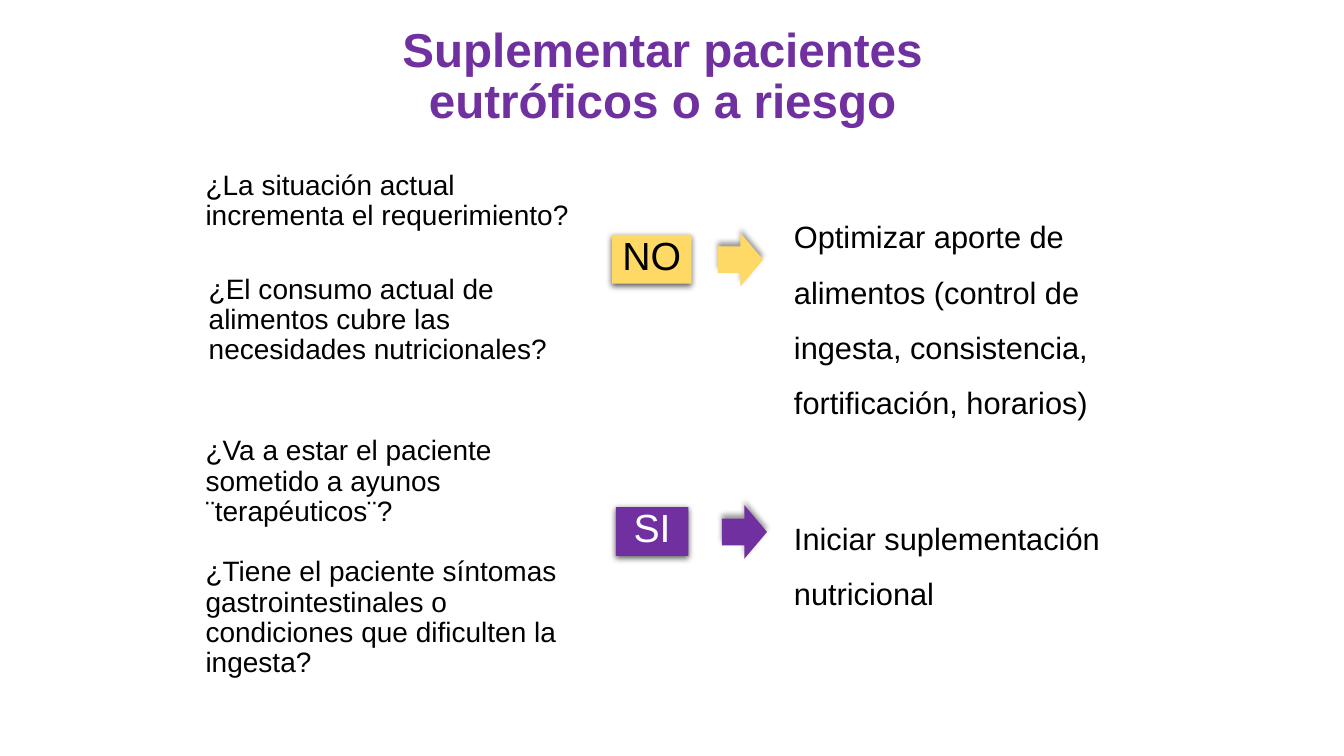
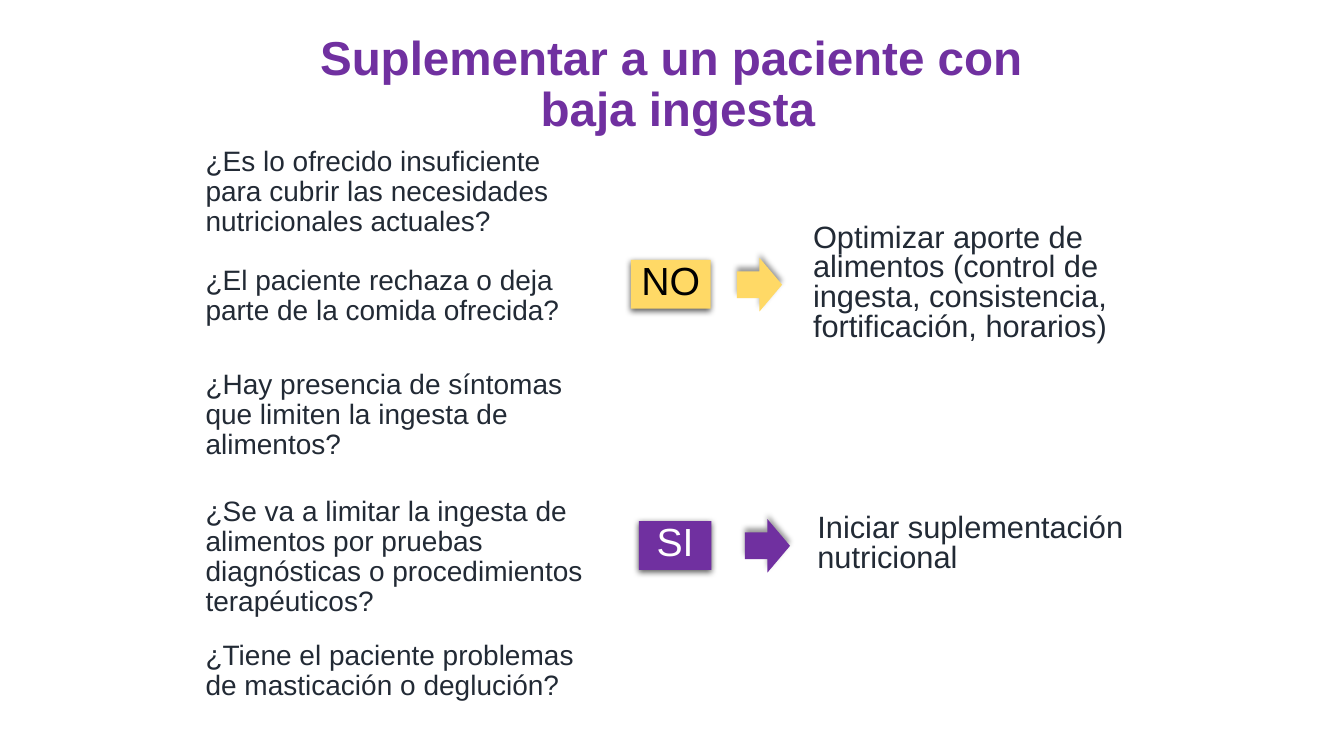
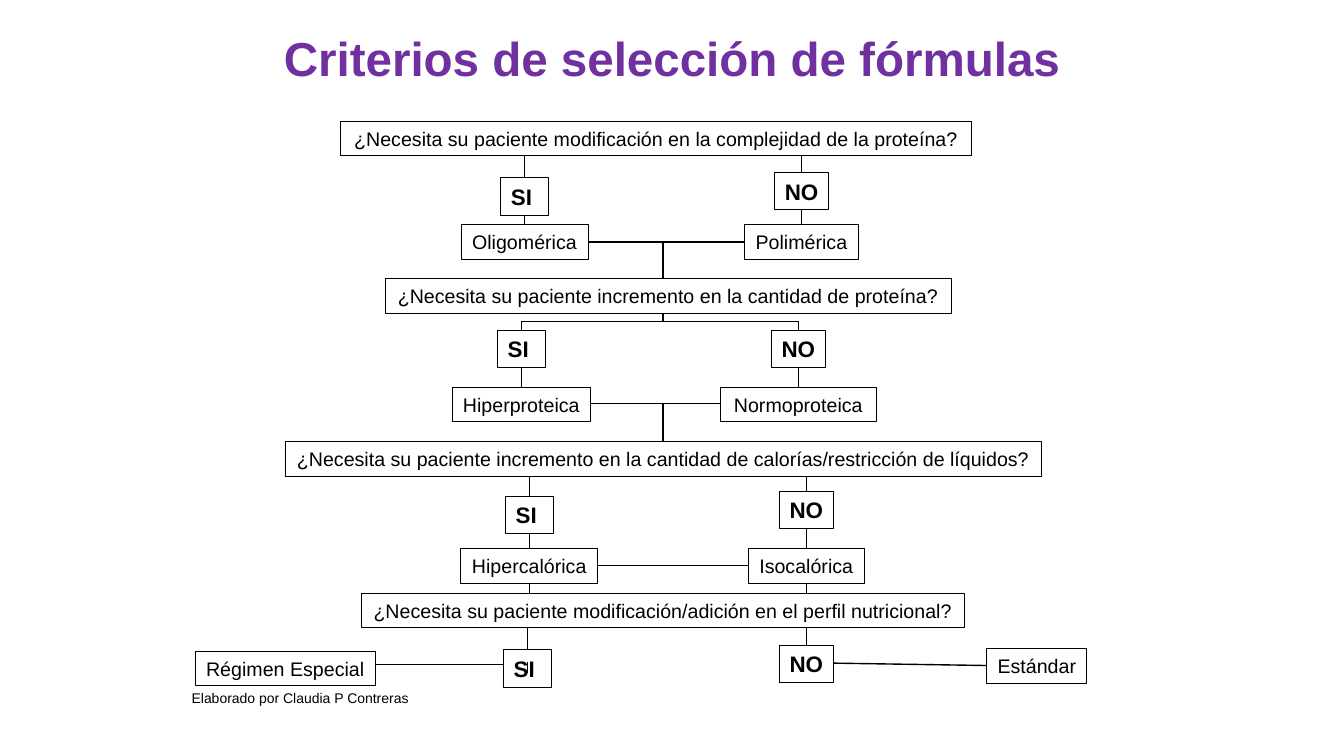
from lxml.etree import SubElement
from pptx import Presentation
from pptx.dml.color import RGBColor
from pptx.enum.shapes import MSO_CONNECTOR, MSO_SHAPE
from pptx.enum.text import MSO_ANCHOR, MSO_AUTO_SIZE, PP_ALIGN
from pptx.oxml.ns import qn
from pptx.util import Cm, Pt

FONT = "Arial"
PURPLE, YELLOW = "7030A0", "FFD966"
BLACK, WHITE, SLATE = "000000", "FFFFFF", "222A35"
BOX_H, ANSWER_H = 0.87, 0.94
SI_W, NO_W = 1.22, 1.37
BADGE_SHADOW = (63, 4.5, 1.5, 90)   # opacity %, blur pt, distance pt, angle
ARROW_SHADOW = (40, 4, 3, 270)


def color(hex_string):
    return RGBColor.from_string(hex_string)


class Deck:
    def __init__(self):
        self.prs = Presentation()
        self.prs.slide_width, self.prs.slide_height = Cm(33.87), Cm(19.05)

    def set_text(self, shape, text, size, ink, bold=False, align=PP_ALIGN.LEFT,
                 spacing=1.0, wrap=True, anchor=MSO_ANCHOR.TOP):
        frame = shape.text_frame
        frame.text = text
        frame.word_wrap = wrap
        frame.auto_size = MSO_AUTO_SIZE.NONE
        frame.vertical_anchor = anchor
        paragraph = frame.paragraphs[0]
        paragraph.alignment = align
        paragraph.line_spacing = spacing
        font = paragraph.font
        font.name, font.size, font.bold = FONT, Pt(size), bold
        font.color.rgb = color(ink)

    def new_slide(self, title, left, top, width, height):
        self.slide = self.prs.slides.add_slide(self.prs.slide_layouts[5])
        heading = self.slide.shapes.title
        heading.left, heading.top = Cm(left), Cm(top)
        heading.width, heading.height = Cm(width), Cm(height)
        self.set_text(heading, title, 34, PURPLE, bold=True,
                      align=PP_ALIGN.CENTER, spacing=0.9)

    def text(self, text, left, top, width, height, size, ink=BLACK, spacing=1.0):
        area = self.slide.shapes.add_textbox(Cm(left), Cm(top), Cm(width), Cm(height))
        self.set_text(area, text, size, ink, spacing=spacing)

    def shape(self, kind, left, top, width, height, fill, shadow=None):
        shape = self.slide.shapes.add_shape(
            kind, Cm(left), Cm(top), Cm(width), Cm(height))
        shape.fill.solid()
        shape.fill.fore_color.rgb = color(fill)
        shape.line.fill.background()
        shape.shadow.inherit = False
        if shadow:
            self.add_shadow(shape, *shadow)
        return shape

    def add_shadow(self, shape, opacity, blur, distance, angle):
        effects = shape._element.spPr.find(qn("a:effectLst"))
        outer = SubElement(effects, qn("a:outerShdw"), blurRad=str(Pt(blur)),
                           dist=str(Pt(distance)), dir=str(angle * 60000),
                           algn="ctr", rotWithShape="0")
        tint = SubElement(outer, qn("a:srgbClr"), val=BLACK)
        SubElement(tint, qn("a:alpha"), val=str(opacity * 1000))

    def questions(self, items, ink):
        """Each item: text, left, top, number of lines."""
        for text, left, top, lines in items:
            self.text(text, left, top, 10.03, 0.25 + 0.78 * lines, 20, ink, 0.9)

    def badge(self, label, left, top, width, fill, ink):
        """Answer badge followed by its arrow."""
        badge = self.shape(MSO_SHAPE.RECTANGLE, left, top, width, 1.23, fill, BADGE_SHADOW)
        self.set_text(badge, label, 28, ink, align=PP_ALIGN.CENTER, spacing=0.8,
                      wrap=False, anchor=MSO_ANCHOR.MIDDLE)
        self.shape(MSO_SHAPE.RIGHT_ARROW, left + 2.67, top - 0.05, 1.14, 1.35,
                   fill, ARROW_SHADOW)

    def no_and_si(self, no_at, si_at):
        self.badge("NO", *no_at, 2.01, YELLOW, BLACK)
        self.badge("SI", *si_at, 1.83, PURPLE, WHITE)

    def box(self, text, center, top, width, height=BOX_H, size=14, bold=False):
        """Outlined flowchart box, centred on a vertical axis."""
        box = self.shape(MSO_SHAPE.RECTANGLE, center - width / 2, top, width, height, WHITE)
        box.line.color.rgb = color(BLACK)
        box.line.width = Pt(0.5)
        self.set_text(box, text, size, BLACK, bold, PP_ALIGN.CENTER,
                      wrap=False, anchor=MSO_ANCHOR.MIDDLE)

    def line(self, x1, y1, x2, y2, weight=1.0, elbow=False):
        """Straight line, or an elbow that runs across and then down."""
        kind = MSO_CONNECTOR.ELBOW if elbow else MSO_CONNECTOR.STRAIGHT
        line = self.slide.shapes.add_connector(kind, Cm(x1), Cm(y1), Cm(x2), Cm(y2))
        line.line.color.rgb = color(BLACK)
        line.line.width = Pt(weight)
        properties = line._element.spPr
        if elbow:
            properties.find(qn("a:prstGeom")).set("prst", "bentConnector2")
        SubElement(properties, qn("a:effectLst"))


OPTIMIZE = ("Optimizar aporte de alimentos (control de ingesta, "
            "consistencia, fortificación, horarios)")
START = "Iniciar suplementación nutricional"


def well_nourished(deck):
    deck.new_slide("Suplementar pacientes eutróficos o a riesgo", 7.77, 0.53, 17.86, 2.62)
    deck.questions([
        ("¿La situación actual incrementa el requerimiento?", 4.93, 4.19, 2),
        ("¿El consumo actual de alimentos cubre las necesidades nutricionales?",
         5.01, 6.81, 3),
        ("¿Va a estar el paciente sometido a ayunos ¨terapéuticos¨?", 4.93, 10.88, 3),
        ("¿Tiene el paciente síntomas gastrointestinales o condiciones que "
         "dificulten la ingesta?", 4.93, 13.93, 4),
    ], BLACK)
    deck.no_and_si((15.42, 5.92), (15.52, 12.78))
    deck.text(OPTIMIZE, 19.76, 4.9, 10.03, 5.72, 22, spacing=1.5)
    deck.text(START, 19.76, 12.5, 8.61, 2.9, 22, spacing=1.5)


def low_intake(deck):
    deck.new_slide("Suplementar a un paciente con\v baja ingesta", 4.22, 0.74, 25.4, 3.05)
    deck.questions([
        ("¿Es lo ofrecido insuficiente para cubrir las necesidades "
         "nutricionales actuales?", 4.93, 3.58, 3),
        ("¿El paciente rechaza o deja parte de la comida ofrecida?", 4.93, 6.58, 2),
        ("¿Hay presencia de síntomas que limiten la ingesta de alimentos?", 4.93, 9.2, 3),
        ("¿Se va a limitar la ingesta de alimentos por pruebas diagnósticas o "
         "procedimientos terapéuticos?", 4.93, 12.4, 4),
        ("¿Tiene el paciente problemas de masticación o deglución?", 4.93, 16.04, 2),
    ], SLATE)
    deck.no_and_si((15.9, 6.55), (16.1, 13.13))
    deck.text(OPTIMIZE, 20.24, 5.54, 8.61, 3.3, 22, SLATE, 0.8)
    deck.text(START, 20.35, 12.85, 8.61, 1.8, 22, SLATE, 0.8)


def formula_criteria(deck):
    deck.new_slide("Criterios de selección de fórmulas", 4.24, 0.76, 25.4, 2.69)
    trunk = 16.71

    # Questions: text, centre, top, width
    for question in [
        ("¿Necesita su paciente modificación en la complejidad de la proteína?",
         16.54, 3.05, 15.9),
        ("¿Necesita su paciente incremento en la cantidad de proteína?",
         16.84, 7.02, 14.25),
        ("¿Necesita su paciente incremento en la cantidad de calorías/restricción "
         "de líquidos?", 16.72, 11.13, 19.05),
        ("¿Necesita su paciente modificación/adición en el perfil nutricional?",
         16.71, 14.95, 15.18),
    ]:
        deck.box(*question)

    # Answers: question top, SI axis and top, NO axis and top
    for question_top, si, si_top, no, no_top in [
        (3.05, 13.22, 4.48, 20.2, 4.35),
        (7.02, 13.14, 8.32, 20.12, 8.32),
        (11.13, 13.34, 12.5, 20.32, 12.38),
        (14.95, 13.29, 16.37, 20.32, 16.26),
    ]:
        bottom = question_top + BOX_H
        branches = [("SI ", si, si_top, SI_W), ("NO", no, no_top, NO_W)]
        for label, axis, top, width in branches:
            deck.box(label, axis, top, width, ANSWER_H, 16, True)
            if question_top == 7.02:
                deck.line(trunk, 8.1, axis, top, elbow=True)
            else:
                deck.line(axis, bottom, axis, top, 0.5)
    deck.line(trunk, 7.89, trunk, 8.1)

    # Results: text, axis, top, width, bottom of the answer above, line weight
    for text, axis, top, width, answer_bottom, weight in [
        ("Oligomérica", 13.22, 5.66, 3.2, 5.42, 1),
        ("Polimérica", 20.2, 5.66, 2.88, 5.29, 1),
        ("Hiperproteica", 13.14, 9.75, 3.48, 9.26, 0.5),
        ("Normoproteica", 20.12, 9.75, 3.93, 9.26, 0.5),
        ("Hipercalórica", 13.34, 13.82, 3.45, 13.44, 1),
        ("Isocalórica", 20.32, 13.82, 2.92, 13.32, 1),
    ]:
        deck.box(text, axis, top, width)
        deck.line(axis, answer_bottom, axis, top, weight)
    deck.box("Régimen Especial", 7.19, 16.41, 4.55)
    deck.box("Estándar", 26.13, 16.34, 2.52)

    # Links from each pair of results to the next question
    for edge in (14.82, 18.76):
        deck.line(edge, 6.1, trunk, 7.02, elbow=True)
    for link in [
        (14.88, 10.17, 18.16, 10.17), (trunk, 10.17, trunk, 11.13),
        (15.06, 14.25, 18.86, 14.25),
        (13.34, 14.69, 13.34, 14.95), (20.32, 14.69, 20.32, 14.95),
        (12.68, 16.74, 9.47, 16.74), (21.01, 16.71, 24.87, 16.77),
        (13.29, 16.69, 13.29, 16.97, 0.5),
    ]:
        deck.line(*link)

    deck.text("Elaborado por Claudia P Contreras", 4.58, 17.25, 11.2, 0.69, 10)


def main():
    deck = Deck()
    well_nourished(deck)
    low_intake(deck)
    formula_criteria(deck)
    deck.prs.save("out.pptx")


if __name__ == "__main__":
    main()
